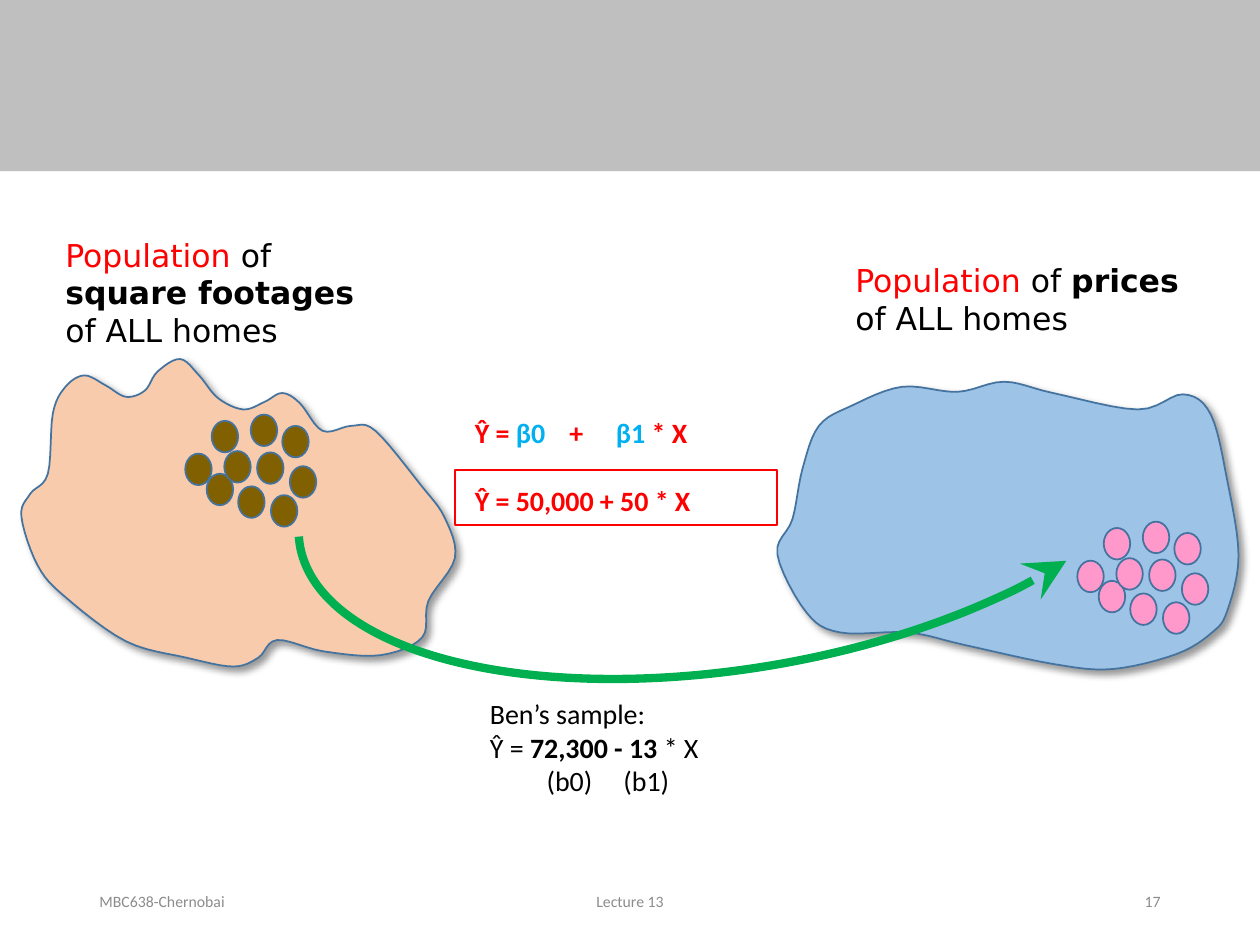
import pptx
import pptx.dml.color
import pptx.enum.shapes
import pptx.enum.text
import pptx.oxml
import pptx.oxml.ns
import pptx.util
from pptx.util import Inches

SHAPE = pptx.enum.shapes.MSO_SHAPE
ALIGN = pptx.enum.text.PP_ALIGN
ANCHOR = pptx.enum.text.MSO_ANCHOR

RED, BLACK, CYAN, GRAY = "FF0000", "000000", "00B0F0", "8C8C8C"
BAND, OUTLINE, GREEN = "BFBFBF", "43739E", "00B050"
PEACH, BROWN, BLUE, PINK = "F8CBAD", "806000", "9DC3E6", "FF99CC"

HEADING_SIZE, FORMULA_SIZE, FOOTER_SIZE = 18, 16, 9
FORMULA_GAP = 19.5
CURVE_STEPS = 6
HOME_WIDTH, HOME_HEIGHT = 0.21, 0.25

HOME_ROWS = {
    "top": [(0.21, 0.05), (0.52, 0), (0.77, 0.09)],
    "bottom": [(0.17, 0.47), (0.42, 0.57), (0.68, 0.64)],
    "middle": [(0, 0.31), (0.31, 0.29), (0.57, 0.3), (0.83, 0.41)],
}
FOOTAGE_SIDES = {
    "left": [(0.3, 4.49), (0.17, 4.1), (0.24, 3.92), (0.38, 3.76), (0.42, 3.28)],
    "first peak": [(0.52, 3.07), (0.67, 2.98), (0.84, 3.06), (1, 3.15), (1.15, 3.1)],
    "second peak": [(1.25, 2.95), (1.43, 2.85), (1.58, 2.98), (1.73, 3.16), (1.93, 3.25)],
    "third peak": [(2.1, 3.19), (2.24, 3.12), (2.38, 3.2), (2.56, 3.42), (2.79, 3.38)],
    "right": [(2.98, 3.42), (3.34, 3.85), (3.53, 4.11), (3.61, 4.43), (3.4, 4.77), (3.35, 5.06)],
    "bottom": [(3.02, 5.2), (2.57, 5.17), (2.2, 5.08), (2.05, 5.22), (1.85, 5.29),
               (1.48, 5.22), (1, 5.09), (0.52, 4.74)],
}
PRICE_SIDES = {
    "left": [(6.4, 4.86), (6.17, 4.4), (6.29, 4.12), (6.37, 3.72), (6.5, 3.38)],
    "top": [(6.76, 3.22), (7.16, 3.07), (7.6, 3.11), (7.97, 3.03), (8.36, 3.12),
            (9.03, 3.25), (9.39, 3.13)],
    "right": [(9.61, 3.29), (9.74, 3.81), (9.83, 4.41), (9.74, 4.85), (9.62, 5.02)],
    "bottom": [(9.34, 5.19), (8.83, 5.31), (8.36, 5.27), (7.66, 5.12), (7.21, 5.02), (6.67, 5.02)],
}


def color(value):
    return pptx.dml.color.RGBColor.from_string(value)


def element(tag, parent, **attributes):
    child = pptx.oxml.parse_xml(f"<a:{tag} {pptx.oxml.ns.nsdecls('a')}/>")
    for name, value in attributes.items():
        child.set(name, str(value))
    parent.append(child)
    return child


def catmull_rom(before, start, end, after, t):
    return (2 * start + (end - before) * t
            + (2 * before - 5 * start + 4 * end - after) * t ** 2
            + (3 * start - before - 3 * end + after) * t ** 3) / 2


def smooth_outline(sides):
    anchors = [point for side in sides.values() for point in side]
    count = len(anchors)
    outline = []
    for index in range(count):
        neighbours = [anchors[(index + shift) % count] for shift in (-1, 0, 1, 2)]
        xs, ys = zip(*neighbours)
        for step in range(CURVE_STEPS):
            t = step / CURVE_STEPS
            outline.append((Inches(catmull_rom(*xs, t)), Inches(catmull_rom(*ys, t))))
    return outline


class SlideBuilder:
    def __init__(self, slide, font="Calibri"):
        self.slide = slide
        self.font = font

    def style(self, shape, fill=None, line=None, width=1):
        shape.shadow.inherit = False
        if fill:
            shape.fill.solid()
            shape.fill.fore_color.rgb = color(fill)
        else:
            shape.fill.background()
        if line:
            shape.line.color.rgb = color(line)
            shape.line.width = pptx.util.Pt(width)
        else:
            shape.line.fill.background()
        return shape

    def shape(self, kind, box, **look):
        shape = self.slide.shapes.add_shape(kind, *map(Inches, box))
        return self.style(shape, **look)

    def population(self, sides, fill):
        start, *rest = smooth_outline(sides)
        freeform = self.slide.shapes.build_freeform(*start)
        freeform.add_line_segments(rest, close=True)
        shape = self.style(freeform.convert_to_shape(), fill, OUTLINE)
        effects = shape._element.spPr.find(pptx.oxml.ns.qn("a:effectLst"))
        shadow = element("outerShdw", effects, blurRad=pptx.util.Pt(4), dist=pptx.util.Pt(3),
                         dir=45 * 60000, algn="tl", rotWithShape=0)
        element("alpha", element("srgbClr", shadow, val=BLACK), val=40000)

    def homes(self, left, top, fill):
        for row in HOME_ROWS.values():
            for x, y in row:
                box = (left + x, top + y, HOME_WIDTH, HOME_HEIGHT)
                self.shape(SHAPE.OVAL, box, fill=fill, line=OUTLINE)

    def arc_arrow(self, box, rotation, adjustments, line, width):
        arc = self.shape(SHAPE.ARC, box, line=line, width=width)
        arc.rotation = rotation
        for index, value in enumerate(adjustments):
            arc.adjustments[index] = value
        arc._element.spPr.xfrm.set("flipV", "1")
        element("tailEnd", arc.line._get_or_add_ln(), type="stealth", w="lg", len="lg")

    def text(self, box, paragraphs, size, font=None, align=ALIGN.LEFT,
             anchor=ANCHOR.TOP, grow=True, gap=0, tabs=()):
        frame = self.slide.shapes.add_textbox(*map(Inches, box)).text_frame
        frame.word_wrap = True
        frame.vertical_anchor = anchor
        if grow:
            frame.auto_size = pptx.enum.text.MSO_AUTO_SIZE.SHAPE_TO_FIT_TEXT
        for index, runs in enumerate(paragraphs):
            paragraph = frame.add_paragraph() if index else frame.paragraphs[0]
            paragraph.alignment = align
            if index and gap:
                paragraph.space_before = pptx.util.Pt(gap)
            if tabs:
                tab_list = element("tabLst", paragraph._p.get_or_add_pPr())
                for position in tabs:
                    element("tab", tab_list, pos=Inches(position), algn="l")
            for content, run_color, bold in runs:
                run = paragraph.add_run()
                run.text = content
                run.font.name = font or self.font
                run.font.size = pptx.util.Pt(size)
                run.font.bold = bold
                run.font.color.rgb = color(run_color)


def main():
    presentation = pptx.Presentation()
    presentation.slide_width, presentation.slide_height = Inches(10), Inches(7.5)
    slide = presentation.slides.add_slide(presentation.slide_layouts[6])
    builder = SlideBuilder(slide)

    builder.shape(SHAPE.RECTANGLE, (0, 0, 10, 1.36), fill=BAND)

    for sides, area_fill, heading_box, subject, homes_at, home_fill in [
        (FOOTAGE_SIDES, PEACH, (0.42, 1.82, 2.75, 1.01), "square footages ", (1.47, 3.29), BROWN),
        (PRICE_SIDES, BLUE, (6.69, 2.02, 2.98, 0.71), "prices ", (8.55, 4.14), PINK),
    ]:
        builder.population(sides, area_fill)
        heading = [("Population", RED, False), (" of ", BLACK, False),
                   (subject, BLACK, True), ("of ALL homes", BLACK, False)]
        builder.text(heading_box, [heading], HEADING_SIZE, font="DejaVu Sans")
        builder.homes(*homes_at, home_fill)

    builder.text((3.67, 3.25, 2.73, 0.91), [
        [("Ŷ = ", RED, True), ("β0", CYAN, True), ("\t+\t", RED, True),
         ("β1 ", CYAN, True), ("* X", RED, True)],
        [("Ŷ = 50,000 + 50 * X", RED, True)],
    ], FORMULA_SIZE, gap=FORMULA_GAP, tabs=(0.75, 1.12))
    builder.shape(SHAPE.RECTANGLE, (3.61, 3.73, 2.56, 0.44), line=RED)

    builder.arc_arrow((4.31, 0.18, 3.14, 7.1), 80.3, (161.33, 38.82), GREEN, 4.75)

    builder.text((3.79, 5.48, 3.17, 0.91), [
        [("Ben’s sample:", BLACK, False)],
        [("Ŷ = ", BLACK, False), ("72,300 - 13", BLACK, True), (" * X", BLACK, False)],
        [("\t(b0)\t(b1)", BLACK, False)],
    ], FORMULA_SIZE, tabs=(0.45, 1.06))

    for left, width, content, align in [(0.69, 2.25, "MBC638-Chernobai", ALIGN.LEFT),
                                        (3.31, 3.38, "Lecture 13", ALIGN.CENTER),
                                        (7.06, 2.25, "17", ALIGN.RIGHT)]:
        builder.text((left, 6.95, width, 0.4), [[(content, GRAY, False)]], FOOTER_SIZE,
                     align=align, anchor=ANCHOR.MIDDLE, grow=False)

    presentation.save("out.pptx")


if __name__ == "__main__":
    main()
